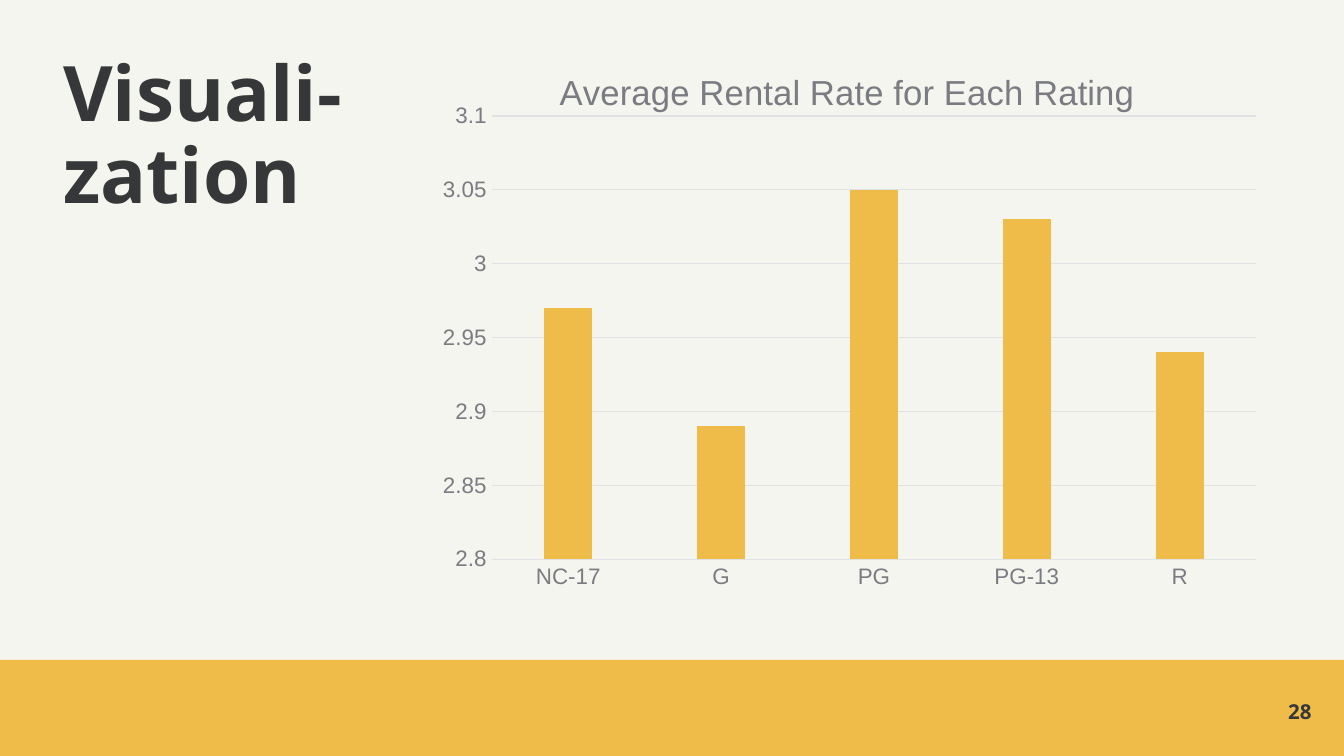
"""Build the rental rate chart slide."""
from lxml import etree
from pptx import Presentation
from pptx.chart.data import CategoryChartData
from pptx.dml.color import RGBColor
from pptx.enum.chart import XL_CHART_TYPE, XL_TICK_MARK
from pptx.enum.shapes import MSO_SHAPE
from pptx.enum.text import MSO_ANCHOR, MSO_AUTO_SIZE, PP_ALIGN
from pptx.oxml import parse_xml
from pptx.oxml.ns import nsdecls, qn
from pptx.util import Pt

PAPER = RGBColor(0xF5, 0xF5, 0xEF)
GOLD = RGBColor(0xEF, 0xBC, 0x49)
INK = RGBColor(0x36, 0x37, 0x39)
GREY = RGBColor(0x7A, 0x7C, 0x81)
RULE = RGBColor(0xE0, 0xE1, 0xE2)
COLUMN = XL_CHART_TYPE.COLUMN_CLUSTERED
NO_TICK = XL_TICK_MARK.NONE
RECT = MSO_SHAPE.RECTANGLE
TOP, MIDDLE = MSO_ANCHOR.TOP, MSO_ANCHOR.MIDDLE
LEFT, RIGHT = PP_ALIGN.LEFT, PP_ALIGN.RIGHT
NO_FIT = MSO_AUTO_SIZE.NONE
RATES = {"NC-17": 2.97, "G": 2.89, "PG": 3.05, "PG-13": 3.03, "R": 2.94}


def style(font, size, color, name="Arial", bold=False):
    """Set the look of a font."""
    font.size, font.name, font.bold = Pt(size), name, bold
    font.color.rgb = color


def write(shape, text, size=11, align=LEFT, anchor=TOP, space=1.0):
    """Put bold text in a shape without margins."""
    frame = shape.text_frame
    frame.auto_size, frame.word_wrap = NO_FIT, True
    frame.vertical_anchor = anchor
    frame.margin_left = frame.margin_right = 0
    frame.margin_top = frame.margin_bottom = 0
    para = frame.paragraphs[0]
    para.alignment, para.line_spacing = align, space
    run = para.add_run()
    run.text = text
    style(run.font, size, INK, name="Noto Sans", bold=True)


def head(slide, x, y, w, h):
    """Place the slide title."""
    title = slide.shapes.title
    title.left, title.top, title.width, title.height = map(Pt, (x, y, w, h))
    write(title, "Visuali-zation", size=41, space=0.9)


def foot(slide, x, y, w, h):
    """Draw the bottom band with the page number."""
    band = slide.shapes.add_shape(RECT, Pt(x), Pt(y), Pt(w), Pt(h))
    band.shadow.inherit = False
    band.fill.solid()
    band.fill.fore_color.rgb = GOLD
    band.line.fill.background()
    page = slide.shapes.add_textbox(
        Pt(x + w - 60.5), Pt(y + 20.2), Pt(43.2), Pt(14.4))
    write(page, "28", align=RIGHT, anchor=MIDDLE)


def layout(x, y, w=None, h=None):
    """Return a manual layout, inner when a size is given."""
    node = parse_xml(f"<c:layout {nsdecls('c')}><c:manualLayout/></c:layout>")
    parts = [("xMode", "edge"), ("yMode", "edge"), ("x", x), ("y", y)]
    if w:
        parts = [("layoutTarget", "inner")] + parts + [("w", w), ("h", h)]
    for tag, val in parts:
        etree.SubElement(node[0], qn("c:" + tag)).set("val", str(val))
    return node


def rates(slide, x, y, w, h):
    """Draw the column chart of rates."""
    data = CategoryChartData()
    data.categories = list(RATES)
    data.add_series("Series 1", list(RATES.values()))
    chart = slide.shapes.add_chart(
        COLUMN, Pt(x), Pt(y), Pt(w), Pt(h), data).chart
    style(chart.font, 10, INK)
    chart.has_legend = False
    chart.has_title = True
    para = chart.chart_title.text_frame.paragraphs[0]
    run = para.add_run()
    run.text = "Average Rental Rate for Each Rating"
    style(run.font, 18.6, GREY)
    title = chart.chart_title._element
    for old in title.findall(qn("c:layout")):
        title.remove(old)
    title.find(qn("c:tx")).addnext(layout(0.16, 0.05))
    area = chart._chartSpace.chart.plotArea
    for old in area.findall(qn("c:layout")):
        area.remove(old)
    area.insert(0, layout(0.088, 0.135, 0.894, 0.705))

    plot = chart.plots[0]
    plot.gap_width, plot.overlap = 219, -27
    plot.vary_by_categories = False
    fill = plot.series[0].format.fill
    fill.solid()
    fill.fore_color.rgb = GOLD

    cat, val = chart.category_axis, chart.value_axis
    for axis in (cat, val):
        axis.major_tick_mark = axis.minor_tick_mark = NO_TICK
        style(axis.tick_labels.font, 12, GREY)
    val.minimum_scale, val.maximum_scale, val.major_unit = 2.8, 3.1, 0.05
    val.tick_labels.number_format = "General"
    val.tick_labels.number_format_is_linked = False
    val.has_major_gridlines = True
    val.format.line.fill.background()
    for line in (cat.format.line, val.major_gridlines.format.line):
        line.color.rgb, line.width = RULE, Pt(0.75)


def main():
    """Build and save the slide."""
    deck = Presentation()
    deck.slide_width, deck.slide_height = Pt(720), Pt(405)
    slide = deck.slides.add_slide(deck.slide_layouts[5])
    slide.background.fill.solid()
    slide.background.fill.fore_color.rgb = PAPER
    head(slide, 33.8, 29.5, 150.5, 113)
    foot(slide, 0, 353.5, 720, 51.5)
    rates(slide, 223.2, 16.6, 458, 337)
    deck.save("out.pptx")


main()
